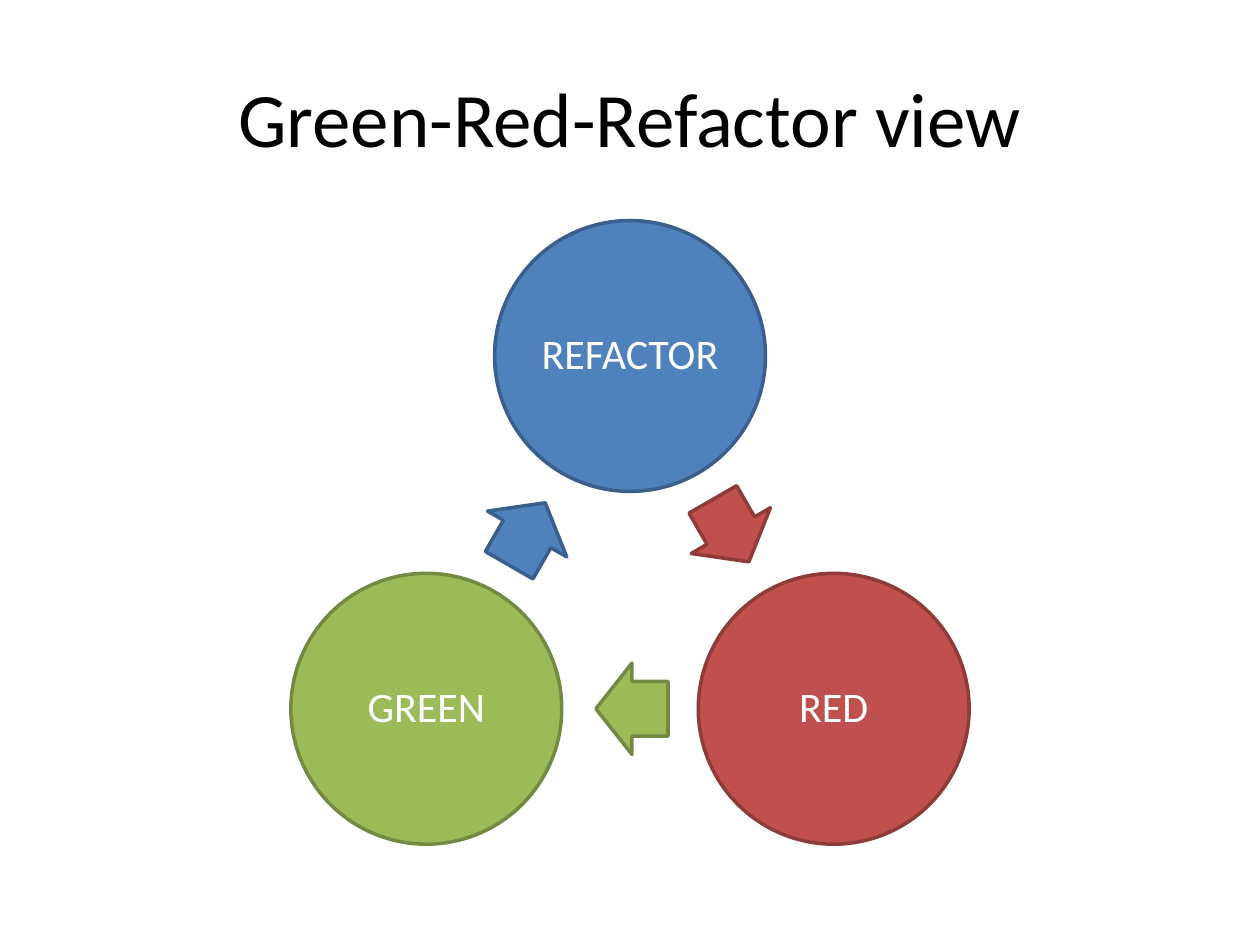
import math
from dataclasses import dataclass

import pptx
import pptx.dml.color
import pptx.enum.shapes
import pptx.enum.text
import pptx.util

Pt = pptx.util.Pt
RGBColor = pptx.dml.color.RGBColor
Shapes = pptx.enum.shapes.MSO_SHAPE

COLORS = {
    "black": "000000", "white": "FFFFFF",
    "blue": "4F81BD", "blue edge": "3A5F8C",
    "red": "C0504D", "red edge": "8E3B39",
    "green": "9BBB59", "green edge": "738A42",
}

# Cycle geometry, in points
CENTER_X, CENTER_Y, RADIUS = 360, 337.8, 134.4
CIRCLE_SIZE = 154.8
ARROW_WIDTH, ARROW_HEIGHT = 41.2, 52.3
ARROW_SETBACK = 1.1


@dataclass
class Step:
    label: str
    color: str
    arrow_color: str  # arrow leading to the next step


STEPS = [
    Step("REFACTOR", "blue", "red"),
    Step("RED", "red", "green"),
    Step("GREEN", "green", "blue"),
]


def write_text(frame, text: str, *, size: float, color: str,
               margin: float, line_spacing: float = 1.0) -> None:
    frame.word_wrap = True
    frame.auto_size = pptx.enum.text.MSO_AUTO_SIZE.NONE
    frame.vertical_anchor = pptx.enum.text.MSO_ANCHOR.MIDDLE
    frame.margin_left = frame.margin_right = Pt(margin)
    frame.margin_top = frame.margin_bottom = Pt(min(margin, 3.6))
    paragraph = frame.paragraphs[0]
    paragraph.alignment = pptx.enum.text.PP_ALIGN.CENTER
    paragraph.line_spacing = line_spacing
    run = paragraph.add_run()
    run.text = text
    run.font.name = "Calibri"
    run.font.size = Pt(size)
    run.font.color.rgb = RGBColor.from_string(COLORS[color])


def add_centered(slide, kind, x: float, y: float, width: float,
                 height: float, color: str):
    shape = slide.shapes.add_shape(
        kind, Pt(x - width / 2), Pt(y - height / 2), Pt(width), Pt(height))
    shape.shadow.inherit = False
    shape.fill.solid()
    shape.fill.fore_color.rgb = RGBColor.from_string(COLORS[color])
    shape.line.color.rgb = RGBColor.from_string(COLORS[color + " edge"])
    shape.line.width = Pt(2)
    return shape


def step_center(index: int) -> tuple[float, float]:
    angle = 2 * math.pi * index / len(STEPS)
    return (CENTER_X + RADIUS * math.sin(angle),
            CENTER_Y - RADIUS * math.cos(angle))


def add_step(slide, index: int, step: Step) -> None:
    x, y = step_center(index)
    circle = add_centered(slide, Shapes.OVAL, x, y,
                          CIRCLE_SIZE, CIRCLE_SIZE, step.color)
    write_text(circle.text_frame, step.label, size=24, color="white",
               margin=2.4, line_spacing=0.9)

    # Arrow midway to the next step
    next_x, next_y = step_center(index + 1)
    direction = math.atan2(next_y - y, next_x - x)
    arrow = add_centered(
        slide, Shapes.RIGHT_ARROW,
        (x + next_x) / 2 - ARROW_SETBACK * math.cos(direction),
        (y + next_y) / 2 - ARROW_SETBACK * math.sin(direction),
        ARROW_WIDTH, ARROW_HEIGHT, step.arrow_color)
    arrow.adjustments[0] = 0.6
    arrow.adjustments[1] = 0.5
    arrow.rotation = round(math.degrees(direction)) % 360


presentation = pptx.Presentation()
presentation.slide_width, presentation.slide_height = Pt(720), Pt(540)
slide = presentation.slides.add_slide(presentation.slide_layouts[5])

# Title
title = slide.shapes.title
title.left, title.top, title.width, title.height = (
    Pt(36), Pt(21.6), Pt(648), Pt(90))
write_text(title.text_frame, "Green-Red-Refactor view",
           size=44, color="black", margin=7.2)

# Cycle
for index, step in enumerate(STEPS):
    add_step(slide, index, step)

presentation.save("out.pptx")
